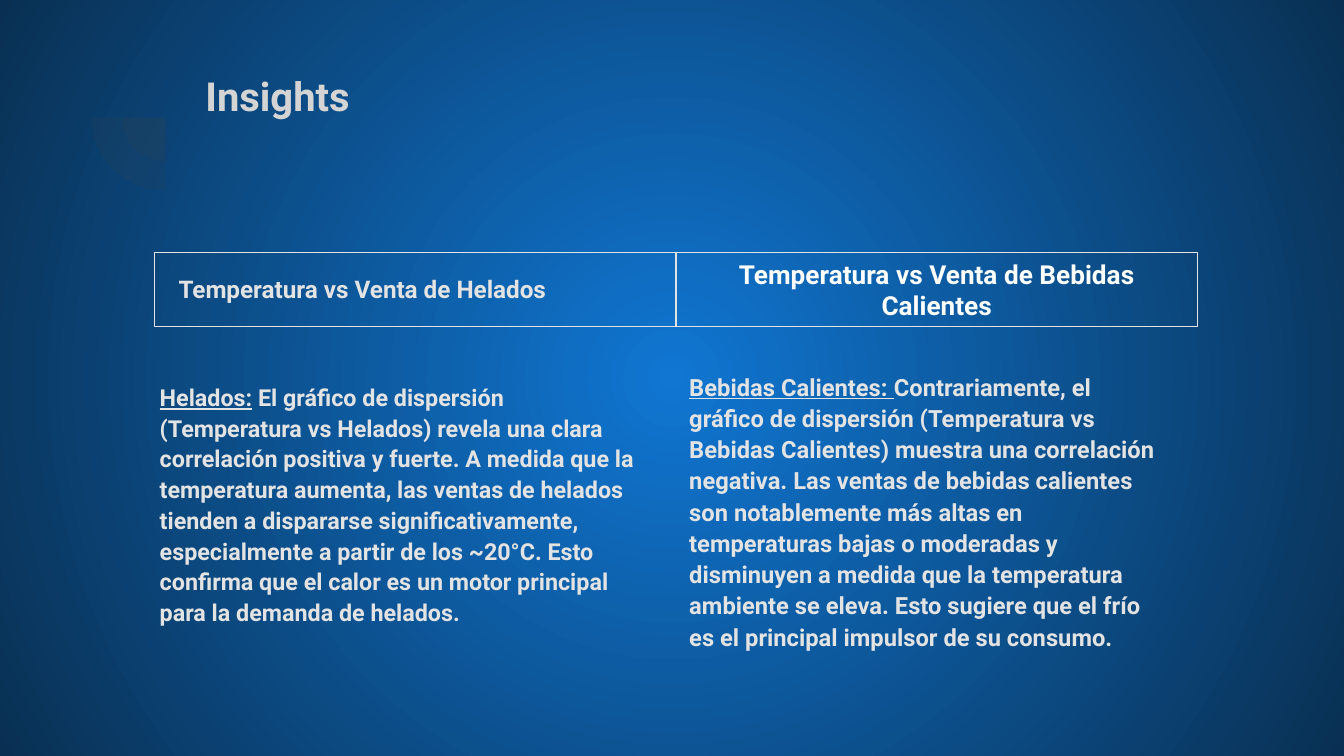
from lxml import etree
from pptx import Presentation
from pptx.dml.color import RGBColor
from pptx.enum.shapes import MSO_SHAPE as Shape
from pptx.enum.text import MSO_ANCHOR as Anchor, PP_ALIGN as Align
from pptx.oxml import parse_xml
from pptx.oxml.ns import nsdecls, qn
from pptx.util import Inches, Pt

# Widescreen page, 16 to 9
WIDTH = 10
HEIGHT = WIDTH * 9 / 16
FONT = "Roboto"
INSET = 0.1

# Colours
BLUE = RGBColor(0x10, 0x76, 0xD2)
NAVY = RGBColor(0x09, 0x30, 0x53)
SHADE = RGBColor(0x42, 0x42, 0x42)
SILVER = RGBColor(0xD4, 0xD4, 0xD4)
PALE = RGBColor(0xE3, 0xE3, 0xE3)
WHITE = RGBColor(0xFF, 0xFF, 0xFF)

# Two heading cells side by side
CELL_LEFT, CELL_TOP = 1.15, 1.88
CELL_WIDTH, CELL_HEIGHT = 3.88, 0.55
COLUMNS = [CELL_LEFT + column * CELL_WIDTH for column in range(2)]

ICE_CREAM = (
    "Helados:",
    " El gráfico de dispersión (Temperatura vs Helados) revela una clara "
    "correlación positiva y fuerte. A medida que la temperatura aumenta, las "
    "ventas de helados tienden a dispararse significativamente, especialmente "
    "a partir de los ~20°C. Esto confirma que el calor es un motor principal "
    "para la demanda de helados.",
)
HOT_DRINKS = (
    "Bebidas Calientes: ",
    "Contrariamente, el gráfico de dispersión (Temperatura vs Bebidas "
    "Calientes) muestra una correlación negativa. Las ventas de bebidas "
    "calientes son notablemente más altas en temperaturas bajas o moderadas y "
    "disminuyen a medida que la temperatura ambiente se eleva. Esto sugiere "
    "que el frío es el principal impulsor de su consumo.",
)


def paint_background(page):
    """Radial gradient, light in the middle of the page."""
    fill = page.background.fill
    fill.gradient()
    for stop, color in zip(fill.gradient_stops, (BLUE, NAVY)):
        stop.color.rgb = color
    gradient = page.background._cSld.find(".//" + qn("a:gradFill"))
    gradient.replace(gradient.find(qn("a:lin")), parse_xml(
        f'<a:path {nsdecls("a")} path="circle">'
        '<a:fillToRect l="50000" t="50000" r="50000" b="50000"/></a:path>'))


def add_quarter(group, left, top, size):
    """Faint quarter disc."""
    pie = group.shapes.add_shape(
        Shape.PIE, *map(Inches, (left, top, size, size)))
    pie.adjustments[0], pie.adjustments[1] = 107.93, 162
    pie.rotation = 270
    pie.shadow.inherit = False
    pie.line.fill.background()
    pie.fill.solid()
    pie.fill.fore_color.rgb = SHADE
    color = pie.fill._xPr.find(".//" + qn("a:srgbClr"))
    etree.SubElement(color, qn("a:alpha"), val="12000")


def write(shape, spans, size, color, anchor=Anchor.TOP, align=Align.LEFT,
          spacing=1.0, top_inset=INSET):
    """Fill a shape with one bold paragraph and return its spans."""
    frame = shape.text_frame
    frame.word_wrap = True
    frame.vertical_anchor = anchor
    frame.margin_left = frame.margin_right = frame.margin_bottom = Inches(INSET)
    frame.margin_top = Inches(top_inset)
    para = frame.paragraphs[0]
    para.alignment = align
    para.line_spacing = spacing
    para.font.name, para.font.size, para.font.bold = FONT, Pt(size), True
    para.font.color.rgb = color
    added = []
    for text in spans:
        span = para.add_run()
        span.text = text
        added.append(span)
    return added


def add_text(page, area, spans, size, color, **layout):
    box = page.shapes.add_textbox(*map(Inches, area))
    return write(box, spans, size, color, **layout)


def add_insight(page, left, top, spans, size, top_inset):
    """Body text with an underlined lead, down to a shared bottom edge."""
    area = (left, top, 3.75, 4.94 - top)
    lead, _ = add_text(page, area, spans, size, PALE,
                       spacing=1.1, top_inset=top_inset)
    lead.font.underline = True


def add_cell(page, left):
    """Outlined heading cell."""
    cell = page.shapes.add_shape(
        Shape.RECTANGLE,
        *map(Inches, (left, CELL_TOP, CELL_WIDTH, CELL_HEIGHT)))
    cell.shadow.inherit = False
    cell.fill.background()
    cell.line.color.rgb = PALE
    cell.line.width = Pt(0.75)
    return cell


def main():
    deck = Presentation()
    deck.slide_width, deck.slide_height = Inches(WIDTH), Inches(HEIGHT)
    page = deck.slides.add_slide(deck.slide_layouts[6])
    paint_background(page)

    # Corner ornament
    ornament = page.shapes.add_group_shape()
    add_quarter(ornament, 0.91, 0.55, 0.65)
    add_quarter(ornament, 0.68, 0.33, 1.09)

    # Title
    add_text(page, (1.43, 0.35, 7.69, 0.67), ["Insights"], 21.4, SILVER,
             anchor=Anchor.MIDDLE, spacing=1.15)

    # Insights
    add_insight(page, 1.09, 2.52, ICE_CREAM, 12.5, top_inset=0.31)
    add_insight(page, COLUMNS[1], 2.36, HOT_DRINKS, 12.7, top_inset=0.39)

    # Headings
    add_text(page, (1.23, 1.94, 3.25, 0.42),
             ["Temperatura vs Venta de Helados"], 13, PALE)
    _, drinks_cell = [add_cell(page, left) for left in COLUMNS]
    write(drinks_cell, ["Temperatura vs Venta de Bebidas Calientes"], 14, WHITE,
          anchor=Anchor.MIDDLE, align=Align.CENTER)

    deck.save("out.pptx")


if __name__ == "__main__":
    main()
